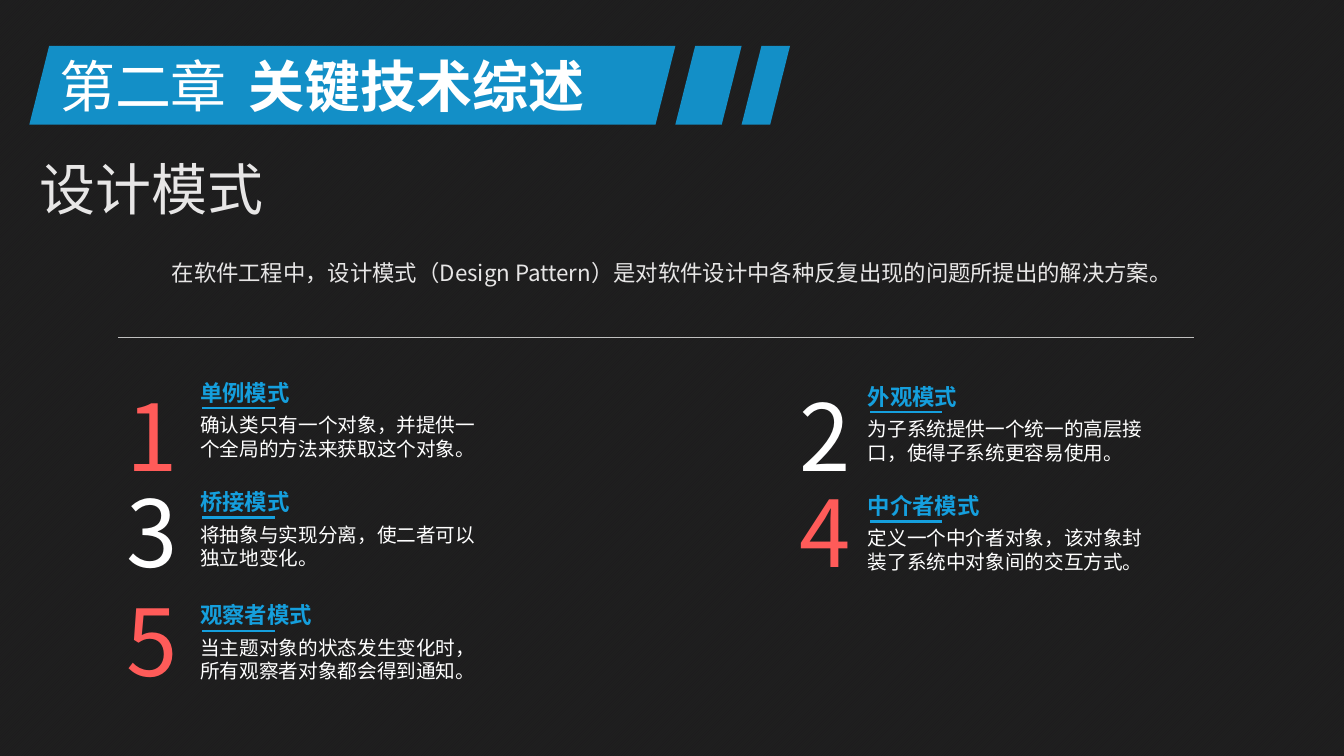
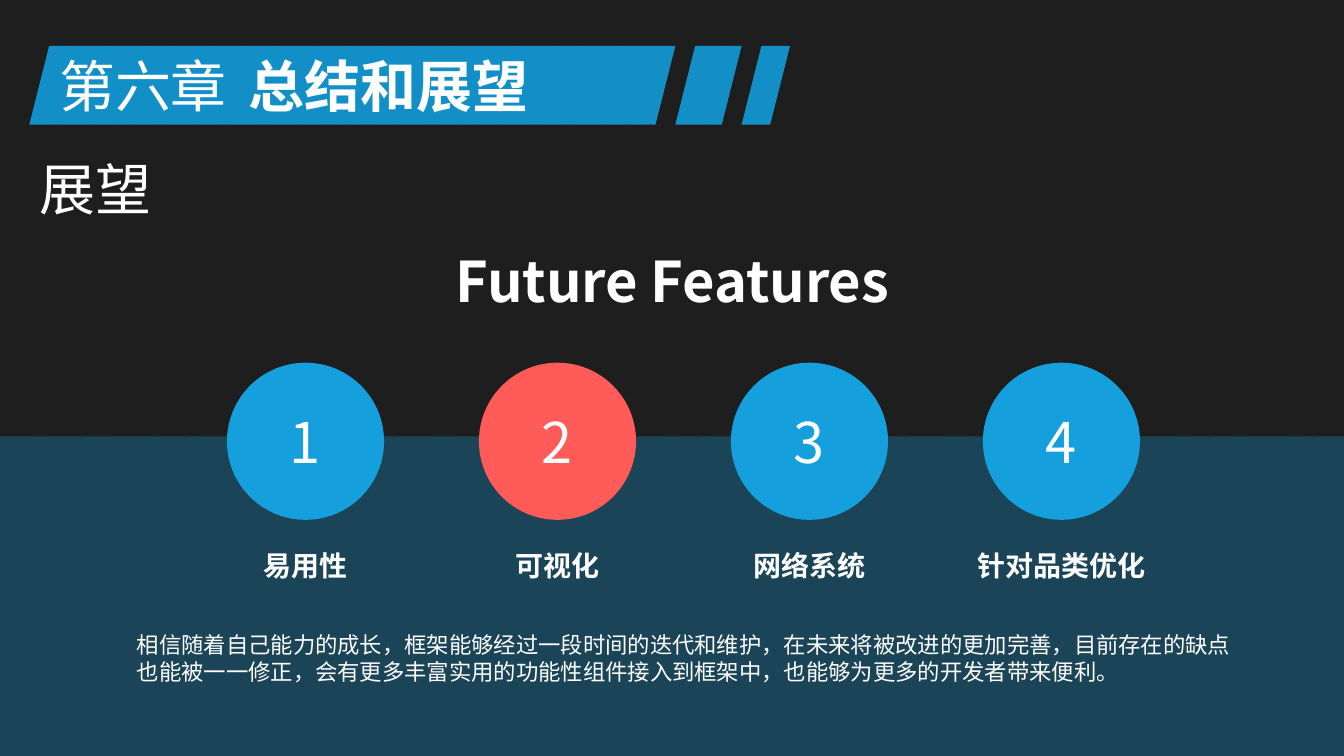
import pptx
import pptx.util
import pptx.dml.color
import pptx.enum.dml
import pptx.enum.shapes
import pptx.enum.text
import pptx.oxml.ns
from lxml import etree

Cm = pptx.util.Cm
Pt = pptx.util.Pt
RGB = pptx.dml.color.RGBColor.from_string
SHAPE = pptx.enum.shapes.MSO_SHAPE
ALIGN = pptx.enum.text.PP_ALIGN
AUTO_SIZE = pptx.enum.text.MSO_AUTO_SIZE
qn = pptx.oxml.ns.qn

FONT = "Noto Sans CJK SC"
COLOURS = {
    "black": "000000",
    "white": "FFFFFF",
    "pale": "E7E6E6",
    "rule": "BFBFBF",
    "backdrop": "DDDCE2",
    "band": "138FC7",
    "blue": "159FDD",
    "red": "FF5B59",
}
WIDTH, HEIGHT = 33.87, 19.05
SLANT = 0.5
BAND_TOP, BAND_HEIGHT = 1.16, 1.98


def add_block(slide, kind, left, top, width, height, colour, opacity=100):
    block = slide.shapes.add_shape(kind, Cm(left), Cm(top), Cm(width), Cm(height))
    block.shadow.inherit = False
    block.fill.solid()
    block.fill.fore_color.rgb = RGB(COLOURS[colour])
    block.line.fill.background()
    if opacity < 100:
        tint = block.fill._xPr.find(qn("a:solidFill"))[0]
        etree.SubElement(tint, qn("a:alpha"), val=str(opacity * 1000))
    return block


def add_text(slide, text, left, top, height, size, colour="white", width=None,
             bold=False, align=ALIGN.LEFT, holder=None):
    if holder is None:
        box_width = Cm(width) if width else Pt(size * len(text)) + Cm(0.51)
        holder = slide.shapes.add_textbox(Cm(left), Cm(top), box_width, Cm(height))
        holder.text_frame.auto_size = AUTO_SIZE.SHAPE_TO_FIT_TEXT
        holder.text_frame.word_wrap = width is not None
    paragraph = holder.text_frame.paragraphs[0]
    paragraph.text = text
    paragraph.alignment = align
    paragraph.font.name = FONT
    paragraph.font.size = Pt(size)
    paragraph.font.bold = bold
    paragraph.font.color.rgb = RGB(COLOURS[colour])
    etree.SubElement(paragraph.font._rPr, qn("a:ea"), typeface=FONT)


prs = pptx.Presentation()
prs.slide_width, prs.slide_height = Cm(WIDTH), Cm(HEIGHT)
backdrop = prs.slide_master.background.fill
backdrop.patterned()
backdrop.pattern = pptx.enum.dml.MSO_PATTERN.LIGHT_UPWARD_DIAGONAL
backdrop.fore_color.rgb = RGB(COLOURS["rule"])
backdrop.back_color.rgb = RGB(COLOURS["backdrop"])

headings = [
    ("第二章", "关键技术综述", "设计模式", "pale"),
    ("第六章", "总结和展望", "展望", "white"),
]
slides = []
for chapter, title, section, section_colour in headings:
    slide = prs.slides.add_slide(prs.slide_layouts[6])
    add_block(slide, SHAPE.RECTANGLE, 0, 0, WIDTH, HEIGHT, "black", 86)
    band_left = 0.74
    for band_width in (16.28, 1.67, 1.22):
        band = add_block(slide, SHAPE.PARALLELOGRAM, band_left, BAND_TOP,
                         band_width, BAND_HEIGHT, "band")
        band.adjustments[0] = SLANT / min(band_width, BAND_HEIGHT)
        band_left += band_width
    add_text(slide, chapter, 1.24, 1.17, 1.96, 40)
    add_text(slide, title, 6.02, 1.17, 1.96, 40, bold=True)
    add_text(slide, section, 0.74, 3.76, 1.96, 40, section_colour)
    slides.append(slide)

patterns_slide, outlook_slide = slides

add_text(patterns_slide,
         "在软件工程中，设计模式（Design Pattern）是对软件设计中各种反复出现的问题所提出的解决方案。",
         2.57, 6.4, 0.94, 16, "pale", width=28.73, align=ALIGN.CENTER)

patterns = [
    ("单例模式", "确认类只有一个对象，并提供一个全局的方法来获取这个对象。"),
    ("外观模式", "为子系统提供一个统一的高层接口，使得子系统更容易使用。"),
    ("桥接模式", "将抽象与实现分离，使二者可以独立地变化。"),
    ("中介者模式", "定义一个中介者对象，该对象封装了系统中对象间的交互方式。"),
    ("观察者模式", "当主题对象的状态发生变化时，所有观察者对象都会得到通知。"),
]
number_lefts, pattern_lefts = (2.95, 19.91), (4.8, 21.62)
number_tops, pattern_tops = (9.42, 11.84, 14.6), (9.42, 12.17, 15.02)
rules = [(2.97, 8.51, 27.13, "rule", 0.5)]
for index, (pattern, description) in enumerate(patterns):
    row, column = divmod(index, 2)
    left = pattern_lefts[column]
    top = pattern_tops[row] + 0.1 * column
    number_colour = "white" if (row + column) % 2 else "red"
    add_text(patterns_slide, str(index + 1), number_lefts[column], number_tops[row],
             3.07, 66, number_colour, width=1.83)
    add_text(patterns_slide, pattern, left, top, 0.94, 16, "blue", bold=True)
    add_text(patterns_slide, description, left, top + 0.87, 1.45, 14, width=7.77)
    rules.append((left + 0.3, top + 0.87, 1.83, "blue", 1.5))

for left, top, length, colour, weight in rules:
    rule = patterns_slide.shapes.add_connector(
        pptx.enum.shapes.MSO_CONNECTOR.STRAIGHT,
        Cm(left), Cm(top), Cm(left + length), Cm(top))
    rule.line.color.rgb = RGB(COLOURS[colour])
    rule.line.width = Pt(weight)
    etree.SubElement(rule._element.spPr, qn("a:effectLst"))

add_block(outlook_slide, SHAPE.RECTANGLE, 0, 11, WIDTH, HEIGHT - 11, "blue", 30)
add_text(outlook_slide, "Future Features", 2.77, 6.1, 1.96, 40,
         width=28.35, bold=True, align=ALIGN.CENTER)

features = ["易用性", "可视化", "网络系统", "针对品类优化"]
diameter, label_width = 3.96, 4.76
for index, feature in enumerate(features):
    left = 5.72 + 6.35 * index
    circle = add_block(outlook_slide, SHAPE.OVAL, left, 9.14, diameter, diameter,
                       "red" if index == 1 else "blue")
    add_text(outlook_slide, str(index + 1), left, 9.14, diameter, 40,
             align=ALIGN.CENTER, holder=circle)
    add_text(outlook_slide, feature, left + (diameter - label_width) / 2, 13.69, 1.12, 20,
             width=label_width, bold=True, align=ALIGN.CENTER)

add_text(outlook_slide,
         "相信随着自己能力的成长，框架能够经过一段时间的迭代和维护，在未来将被改进的更加完善，"
         "目前存在的缺点也能被一一修正，会有更多丰富实用的功能性组件接入到框架中，"
         "也能够为更多的开发者带来便利。",
         3.2, 15.77, 1.63, 16, width=28.35)

prs.save("out.pptx")
